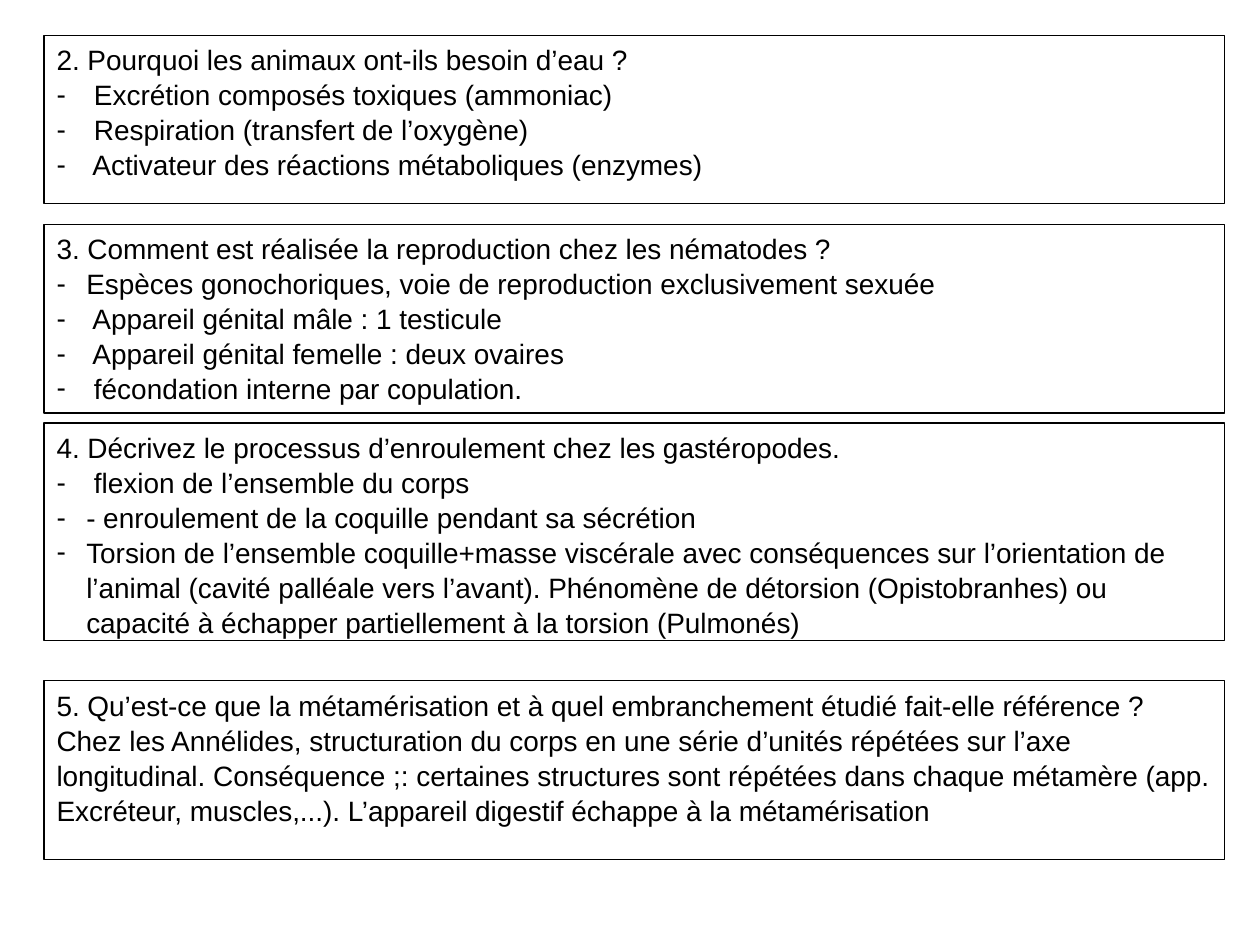
from dataclasses import dataclass

from lxml.etree import SubElement
from pptx import Presentation
from pptx.dml.color import RGBColor as Rgb
from pptx.enum.shapes import MSO_SHAPE as Preset
from pptx.enum.text import MSO_ANCHOR as Anchor, PP_ALIGN as Align
from pptx.oxml.ns import qn
from pptx.util import Cm, Pt

# Content: top and height in cm, question, answers, answers as a dashed list
QUESTIONS = [
    (0.71, 3.4, "2. Pourquoi les animaux ont-ils besoin d’eau\u00a0?", [
        " Excrétion composés toxiques (ammoniac)",
        " Respiration (transfert de l’oxygène)",
        " Activateur des réactions métaboliques (enzymes)",
    ], True),
    (4.52, 3.81, "3. Comment est réalisée la reproduction chez les nématodes ?", [
        "Espèces gonochoriques, voie de reproduction exclusivement sexuée",
        " Appareil génital mâle : 1 testicule",
        " Appareil génital femelle : deux ovaires",
        " fécondation interne par copulation.",
    ], True),
    (8.53, 4.39, "4. Décrivez le processus d’enroulement chez les gastéropodes.", [
        " flexion de l’ensemble du corps",
        "- enroulement de la coquille pendant sa sécrétion",
        "Torsion de l’ensemble coquille+masse viscérale avec conséquences sur "
        "l’orientation de l’animal (cavité palléale vers l’avant). Phénomène de "
        "détorsion (Opistobranhes) ou capacité à échapper partiellement à la "
        "torsion (Pulmonés)",
    ], True),
    (13.72, 3.61, "5. Qu’est-ce que la métamérisation et à quel embranchement étudié "
     "fait-elle référence ?", [
         "Chez les Annélides, structuration du corps en une série d’unités répétées "
         "sur l’axe longitudinal. Conséquence ;: certaines structures sont répétées "
         "dans chaque métamère (app. Excréteur, muscles,...). L’appareil digestif "
         "échappe à la métamérisation",
     ], False),
]


@dataclass(frozen=True)
class Theme:
    font: str = "Arial"
    size: Pt = Pt(16)
    ink: str = "000000"
    paper: str = "FFFFFF"
    border: Pt = Pt(0.75)
    line_spacing: float = 1.04
    indent: Cm = Cm(0.6)


THEME = Theme()
BOX_LEFT, BOX_WIDTH = Cm(0.89), Cm(23.8)
SIDE_INSET, TOP_INSET = Cm(0.25), Cm(0.13)


def write(paragraph, text, *, dashed=False, size=THEME.size, color=THEME.ink):
    """Fill one paragraph, with a hanging dash for list items."""
    paragraph.alignment = Align.LEFT
    paragraph.line_spacing = THEME.line_spacing
    if dashed:
        props = paragraph._p.get_or_add_pPr()
        props.set("marL", str(THEME.indent))
        props.set("indent", str(-THEME.indent))
        dash_color = SubElement(props, qn("a:buClr"))
        SubElement(dash_color, qn("a:srgbClr"), val=color)
        SubElement(props, qn("a:buFont"), typeface=THEME.font)
        SubElement(props, qn("a:buChar"), char="-")
    paragraph.font.name = THEME.font
    paragraph.font.size = size
    paragraph.font.color.rgb = Rgb.from_string(color)
    paragraph.add_run().text = text


def add_answer_box(slide, top, height):
    """Draw a bordered box and return its text frame."""
    box = slide.shapes.add_shape(
        Preset.RECTANGLE, BOX_LEFT, Cm(top), BOX_WIDTH, Cm(height))
    box.shadow.inherit = False
    box.fill.solid()
    box.fill.fore_color.rgb = Rgb.from_string(THEME.paper)
    box.line.color.rgb = Rgb.from_string(THEME.ink)
    box.line.width = THEME.border
    frame = box.text_frame
    frame.word_wrap = True
    frame.vertical_anchor = Anchor.TOP
    frame.margin_left = frame.margin_right = SIDE_INSET
    frame.margin_top = frame.margin_bottom = TOP_INSET
    return frame


def main():
    deck = Presentation()
    deck.slide_width, deck.slide_height = Cm(25.4), Cm(19.05)
    slide = deck.slides.add_slide(deck.slide_layouts[6])

    # One box per question, answers below it
    for top, height, question, answers, dashed in QUESTIONS:
        frame = add_answer_box(slide, top, height)
        write(frame.paragraphs[0], question)
        for answer in answers:
            write(frame.add_paragraph(), answer, dashed=dashed)

    deck.save("out.pptx")


if __name__ == "__main__":
    main()
